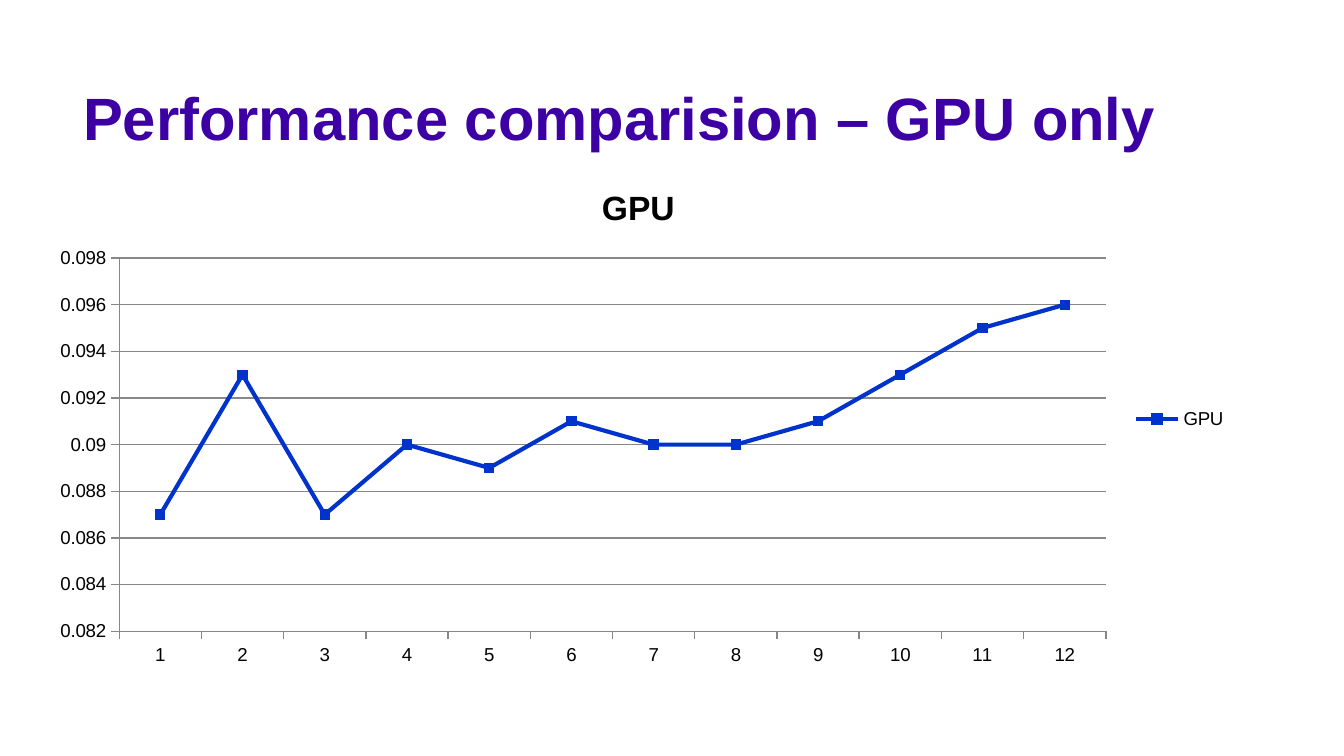
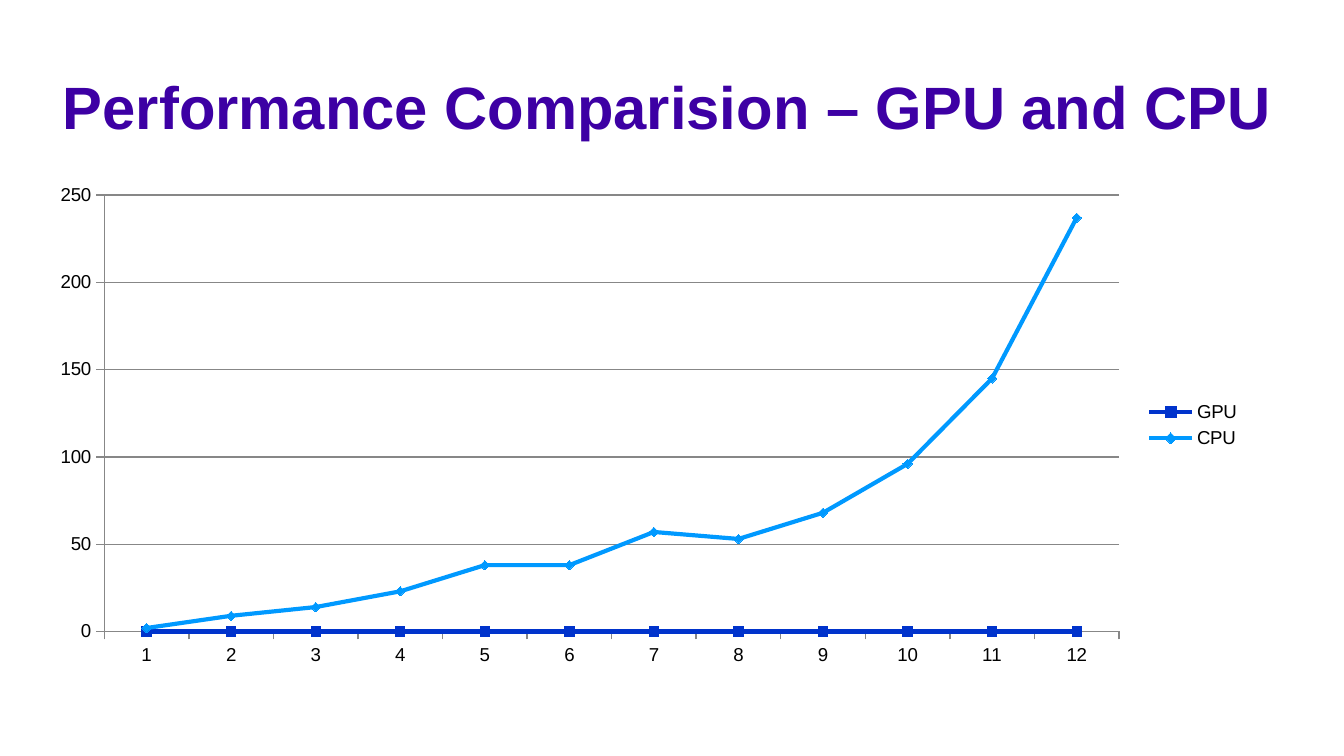
from dataclasses import dataclass

from pptx import Presentation
from pptx.chart.data import CategoryChartData
from pptx.dml.color import RGBColor
from pptx.enum.chart import XL_CHART_TYPE, XL_LEGEND_POSITION, XL_MARKER_STYLE, XL_TICK_MARK
from pptx.enum.text import MSO_ANCHOR
from pptx.util import Inches, Pt


@dataclass(frozen=True)
class Theme:
    font: str = "Arial"
    title_color: RGBColor = RGBColor(0x3D, 0x00, 0xA4)
    text_color: RGBColor = RGBColor(0x00, 0x00, 0x00)
    grid_color: RGBColor = RGBColor(0x87, 0x87, 0x87)
    title_size: Pt = Pt(32)
    chart_title_size: Pt = Pt(18)
    label_size: Pt = Pt(10)
    series_width: Pt = Pt(2.25)
    axis_width: Pt = Pt(0.75)
    marker_size: int = 5


SLIDE_WIDTH = Inches(10)
SLIDE_HEIGHT = SLIDE_WIDTH * 9 // 16


@dataclass(frozen=True)
class Box:
    """A region in percent of the slide's width and height."""
    left: float
    top: float
    width: float
    height: float

    def lengths(self):
        return [round(share * side / 100) for share, side in (
            (self.left, SLIDE_WIDTH), (self.top, SLIDE_HEIGHT),
            (self.width, SLIDE_WIDTH), (self.height, SLIDE_HEIGHT))]


@dataclass(frozen=True)
class ValueScale:
    minimum: float
    maximum: float
    step: float


THEME = Theme()
TITLE_TOP = 9.6
CHART_LEFT, CHART_BOTTOM = 2.7, 89.4
RUNS = range(1, 13)
SERIES_STYLES = {
    "GPU": (RGBColor(0x00, 0x33, 0xCC), XL_MARKER_STYLE.SQUARE),
    "CPU": (RGBColor(0x00, 0x99, 0xFF), XL_MARKER_STYLE.DIAMOND),
}
GPU_TIMES = (0.087, 0.093, 0.087, 0.09, 0.089, 0.091, 0.09, 0.09, 0.091, 0.093, 0.095, 0.096)
CPU_TIMES = (2, 9, 14, 23, 38, 38, 57, 53, 68, 96, 145, 237)


def style_font(font, size, color, bold=False):
    font.name = THEME.font
    font.size = size
    font.bold = bold
    font.color.rgb = color


def add_title(slide, box, text):
    frame = slide.shapes.add_textbox(*box.lengths()).text_frame
    frame.word_wrap = True
    frame.vertical_anchor = MSO_ANCHOR.BOTTOM
    run = frame.paragraphs[0].add_run()
    run.text = text
    style_font(run.font, THEME.title_size, THEME.title_color, bold=True)


def style_line(line, color, width):
    line.color.rgb = color
    line.width = width


def style_axes(chart, scale):
    for axis in (chart.category_axis, chart.value_axis):
        axis.major_tick_mark = XL_TICK_MARK.OUTSIDE
        axis.minor_tick_mark = XL_TICK_MARK.NONE
        style_line(axis.format.line, THEME.grid_color, THEME.axis_width)
    value_axis = chart.value_axis
    value_axis.minimum_scale = scale.minimum
    value_axis.maximum_scale = scale.maximum
    value_axis.major_unit = scale.step
    value_axis.has_major_gridlines = True
    style_line(value_axis.major_gridlines.format.line, THEME.grid_color, THEME.axis_width)


def style_series(series):
    color, marker_style = SERIES_STYLES[series.name]
    series.smooth = False
    style_line(series.format.line, color, THEME.series_width)
    marker = series.marker
    marker.style = marker_style
    marker.size = THEME.marker_size
    marker.format.fill.solid()
    marker.format.fill.fore_color.rgb = color
    marker.format.line.color.rgb = color


def add_line_chart(slide, box, measurements, scale, heading):
    data = CategoryChartData()
    data.categories = [str(number) for number in RUNS]
    for name, values in measurements.items():
        data.add_series(name, values)
    chart = slide.shapes.add_chart(XL_CHART_TYPE.LINE_MARKERS, *box.lengths(), data).chart
    style_font(chart.font, THEME.label_size, THEME.text_color)
    chart.has_title = heading is not None
    if heading:
        run = chart.chart_title.text_frame.paragraphs[0].add_run()
        run.text = heading
        style_font(run.font, THEME.chart_title_size, THEME.text_color, bold=True)
    chart.has_legend = True
    chart.legend.position = XL_LEGEND_POSITION.RIGHT
    chart.legend.include_in_layout = False
    chart.plots[0].vary_by_categories = False
    style_axes(chart, scale)
    for series in chart.plots[0].series:
        style_series(series)


def add_comparison_slide(presentation, title, title_box, chart_top, chart_width,
                         measurements, scale, heading=None):
    slide = presentation.slides.add_slide(presentation.slide_layouts[6])
    add_title(slide, title_box, title)
    chart_box = Box(CHART_LEFT, chart_top, chart_width, CHART_BOTTOM - chart_top)
    add_line_chart(slide, chart_box, measurements, scale, heading)


def main():
    presentation = Presentation()
    presentation.slide_width = SLIDE_WIDTH
    presentation.slide_height = SLIDE_HEIGHT
    add_comparison_slide(
        presentation, "Performance comparision – GPU only",
        Box(5.2, TITLE_TOP, 87.2, 11.4), 21.4, 89.6,
        {"GPU": GPU_TIMES}, ValueScale(0.082, 0.098, 0.002), heading="GPU")
    add_comparison_slide(
        presentation, "Performance Comparision – GPU and CPU",
        Box(3.7, TITLE_TOP, 92.6, 10), 23.1, 90.6,
        {"GPU": [0] * len(RUNS), "CPU": CPU_TIMES}, ValueScale(0, 250, 50))
    presentation.save("out.pptx")


if __name__ == "__main__":
    main()
